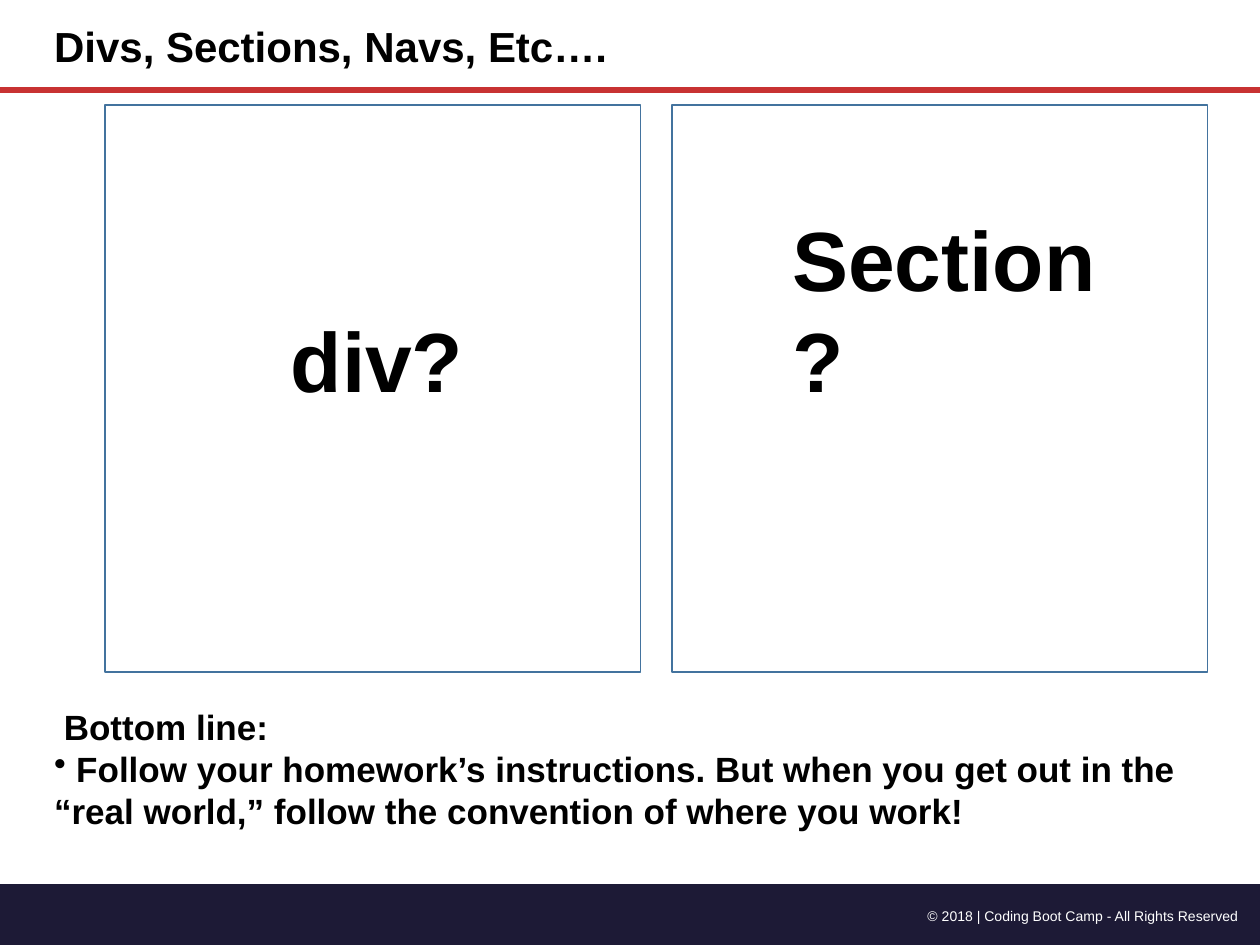
"""Build the slide on div versus section with its bottom line."""
import pptx
import pptx.dml.color
import pptx.enum.shapes
import pptx.enum.text
import pptx.oxml
import pptx.util
from lxml import etree

Pt = pptx.util.Pt
SHAPES = pptx.enum.shapes.MSO_SHAPE
ANCHOR = pptx.enum.text.MSO_ANCHOR
ALIGN = pptx.enum.text.PP_ALIGN
COLOURS = {"ink": "000000", "white": "FFFFFF", "navy": "1D1A36", "red": "C83232", "blue": "43739E"}


def rgb(name):
    return pptx.dml.color.RGBColor.from_string(COLOURS[name])


def add_block(slide, kind, left, top, width, height, fill=None, outline=None):
    block = slide.shapes.add_shape(kind, Pt(left), Pt(top), Pt(width), Pt(height))
    block.shadow.inherit = False
    if fill:
        block.fill.solid()
        block.fill.fore_color.rgb = rgb(fill)
    else:
        block.fill.background()
    if outline:
        block.line.color.rgb = rgb(outline)
        block.line.width = Pt(1)
    else:
        block.line.fill.background()


def add_rule(slide, top, width):
    rule = slide.shapes.add_connector(
        pptx.enum.shapes.MSO_CONNECTOR.STRAIGHT, 0, Pt(top), Pt(width), Pt(top))
    rule.line.color.rgb = rgb("red")
    rule.line.width = Pt(3.25)
    etree.SubElement(rule._element.spPr, pptx.oxml.ns.qn("a:effectLst"))


def add_text(slide, box, lines, size, colour="ink", bold=True, align=ALIGN.LEFT,
             anchor=ANCHOR.BOTTOM, wrap=True, insets=(7.2, 3.6), spacing=None):
    frame = slide.shapes.add_textbox(*map(Pt, box)).text_frame
    frame.word_wrap = wrap
    frame.vertical_anchor = anchor
    frame.margin_left = frame.margin_right = Pt(insets[0])
    frame.margin_top = frame.margin_bottom = Pt(insets[1])
    for index, line in enumerate(lines):
        paragraph = frame.add_paragraph() if index else frame.paragraphs[0]
        paragraph.alignment = align
        if spacing:
            paragraph.line_spacing = Pt(spacing)
        run = paragraph.add_run()
        run.text = line
        run.font.name = "Arial"
        run.font.size = Pt(size)
        run.font.bold = bold
        run.font.color.rgb = rgb(colour)
    return frame


def add_bullet(paragraph):
    properties = paragraph._p.get_or_add_pPr()
    properties.set("marL", "0")
    properties.set("indent", "0")
    bullet = etree.SubElement(properties, pptx.oxml.ns.qn("a:buChar"))
    bullet.set("char", "•")


def main():
    deck = pptx.Presentation()
    deck.slide_width, deck.slide_height = Pt(720), Pt(540)
    slide = deck.slides.add_slide(deck.slide_layouts[6])

    add_block(slide, SHAPES.FLOWCHART_PROCESS, 0, 505.4, 720.7, 36, fill="navy")
    add_rule(slide, 51.5, 720)
    add_text(slide, (491.8, 514.8, 219.6, 17.3),
             ["© 2018 | Coding Boot Camp - All Rights Reserved"], 8, "white", bold=False,
             align=ALIGN.RIGHT, anchor=ANCHOR.MIDDLE, insets=(3.6, 3.6))
    add_text(slide, (23.8, 7.9, 450, 36), ["Divs, Sections, Navs, Etc…."], 24)

    bottom_line = add_text(
        slide, (23.8, 396, 687.6, 95.8),
        [" Bottom line:",
         " Follow your homework’s instructions. But when you get out in the "
         "“real world,” follow the convention of where you work!"],
        20, anchor=ANCHOR.TOP, insets=(7.2, 7.2), spacing=24)
    add_bullet(bottom_line.paragraphs[1])

    for panel_left in (60, 384):
        add_block(slide, SHAPES.RECTANGLE, panel_left, 60, 306, 324, outline="blue")
    for tag, left, width in (("div?", 159.1, 113), ("Section?", 445.7, 216.7)):
        add_text(slide, (left, 172.8, width, 64.8), [tag], 48, wrap=False)

    deck.save("out.pptx")


if __name__ == "__main__":
    main()
